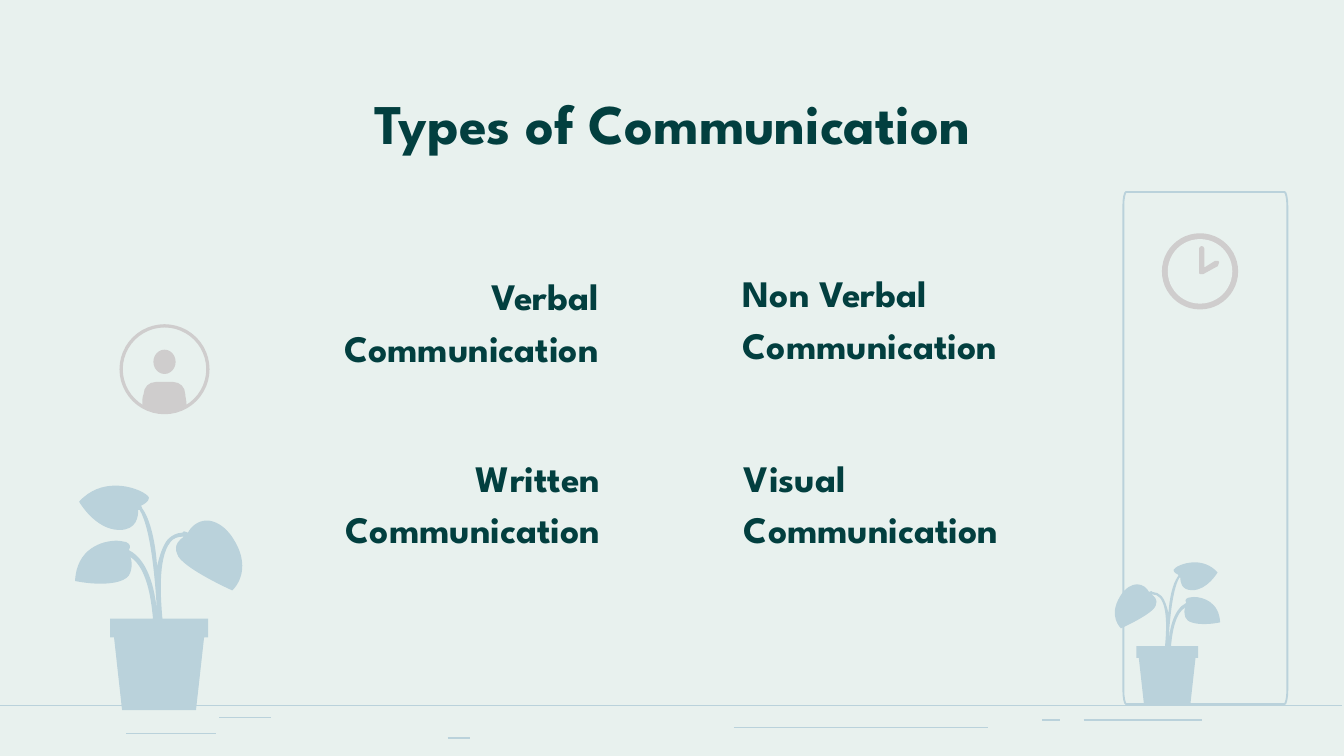
import dataclasses
import typing

import lxml.etree
import pptx
import pptx.dml.color
import pptx.enum.shapes
import pptx.enum.text
import pptx.oxml.ns
import pptx.util

Cm = pptx.util.Cm
Pt = pptx.util.Pt
qn = pptx.oxml.ns.qn
Align = pptx.enum.text.PP_ALIGN
Anchor = pptx.enum.text.MSO_ANCHOR

COLORS = {"back": "E8F1EE", "text": "023F3F", "blue": "BAD2DB", "gray": "CFCDCD"}
FONT = "League Spartan"
UNIT = 0.0254

PLANT = """M 30 0 C 21 0 11 3 3 12 C 3 12 15 33 33 33 C 46 33 47 23 47 18
C 47 18 47 18 48 18 C 57 33 60 75 61 95 C 60 82 56 56 40 48 C 41 46 42 44 38 42
C 37 42 34 41 31 41 C 20 41 1 47 0 71 C 0 71 9 73 19 73 C 29 73 39 71 41 65
C 43 59 42 55 41 53 C 55 62 57 90 58 99 L 26 99 L 26 113 L 29 113 L 35 167
L 90 167 L 96 113 L 99 113 L 99 99 L 65 99 C 64 87 61 54 71 42
C 73 39 77 38 80 38 L 81 38 C 78 40 73 44 76 51 C 79 61 117 78 117 78
C 117 78 133 64 118 40 C 112 30 104 26 98 26 C 91 26 86 31 84 35
C 83 35 82 34 81 34 C 81 34 80 35 80 35 C 76 35 72 37 69 40 C 65 45 63 52 61 60
C 60 43 56 25 50 17 C 50 16 49 15 49 15 C 51 14 55 12 55 9 C 54 6 43 0 30 0"""
HANDS = """M 2 0 C 1 0 0 1 0 2 L 0 19 C 0 20 0 21 1 21 C 1 21 2 21 2 21
C 2 21 3 21 3 21 L 14 15 C 15 14 15 13 15 12 C 15 11 14 11 13 11
C 13 11 13 11 12 11 L 4 16 L 4 2 C 4 1 3 0 2 0"""
BUST = """M 33 18 C 33 14 32 11 32 9 C 32 4 28 0 23 0 L 10 0 C 5 0 1 4 1 9
C 0 11 0 14 0 18 C 9 25 24 25 33 18"""
DOOR = """M 2 0 L 120 0 C 121 0 122 5 122 10 L 122 371 C 122 376 121 381 120 381
L 2 381 C 1 381 0 376 0 371 L 0 10 C 0 5 1 0 2 0"""


@dataclasses.dataclass
class Label:
    text: str
    left: float
    top: float
    width: float
    height: float
    align: Align
    anchor: Anchor = Anchor.BOTTOM
    size: int = 20


@dataclasses.dataclass
class Outline:
    curve: str
    left: float
    top: float
    fill: typing.Optional[str] = None
    line: typing.Optional[str] = None
    scale: float = 1
    flip: int = 1


@dataclasses.dataclass
class Disc:
    left: float
    top: float
    width: float
    height: float
    fill: typing.Optional[str] = None
    line: typing.Optional[str] = None


@dataclasses.dataclass
class Stroke:
    start: float
    end: float
    top: float


LABELS = [
    Label("Types of Communication", 2, 1.24, 21.41, 1.6, Align.CENTER, Anchor.TOP, 30),
    Label("Verbal Communication", 5.35, 5.18, 6.22, 2.06, Align.RIGHT),
    Label("Non Verbal Communication", 13.79, 5.07, 6.22, 2.11, Align.LEFT),
    Label("Written Communication", 5.38, 8.66, 6.22, 2.01, Align.RIGHT),
    Label("Visual Communication", 13.81, 8.66, 6.22, 2.01, Align.LEFT),
]
STROKES = [
    Stroke(0, 25.37, 13.34),
    Stroke(2.39, 4.09, 13.87),
    Stroke(8.46, 8.89, 13.95),
    Stroke(4.14, 5.13, 13.56),
    Stroke(20.48, 22.71, 13.61),
    Stroke(19.7, 20.04, 13.61),
    Stroke(13.87, 18.67, 13.75),
]
FIGURES = [
    Disc(21.96, 4.41, 1.44, 1.44, fill="gray"),
    Disc(22.07, 4.52, 1.22, 1.22, fill="back"),
    Outline(HANDS, 22.66, 4.65, fill="gray"),
    Outline(PLANT, 1.42, 9.18, fill="blue"),
    Outline(DOOR, 21.23, 3.63, line="blue"),
    Disc(2.29, 6.16, 1.64, 1.64, line="gray"),
    Outline(BUST, 2.69, 7.22, fill="gray"),
    Disc(2.9, 6.61, 0.42, 0.46, fill="gray"),
    Outline(PLANT, 23.06, 10.63, fill="blue", scale=0.63, flip=-1),
]


def color(name: str) -> pptx.dml.color.RGBColor:
    return pptx.dml.color.RGBColor.from_string(COLORS[name])


def paint(shape, fill: typing.Optional[str], line: typing.Optional[str], width: float) -> None:
    shape.shadow.inherit = False
    if fill:
        shape.fill.solid()
        shape.fill.fore_color.rgb = color(fill)
    else:
        shape.fill.background()
    if line:
        shape.line.color.rgb = color(line)
        shape.line.width = Pt(width)
    else:
        shape.line.fill.background()


def bend(shape, marks: list[str]) -> None:
    legs = iter(list(shape._element.iter(qn("a:lnTo"))))
    for mark in marks:
        leg = next(legs)
        if mark == "C":
            leg.tag = qn("a:cubicBezTo")
            for _ in range(2):
                extra = next(legs)
                leg.append(extra[0])
                extra.getparent().remove(extra)


def draw_outline(slide, item: Outline) -> None:
    size = UNIT * item.scale
    words = item.curve.split()
    marks = [word for word in words if word in "CL"]
    nums = [float(word) for word in words if word not in "MCL"]
    dots = [
        (Cm(item.left + item.flip * size * x), Cm(item.top + size * y))
        for x, y in zip(nums[::2], nums[1::2])
    ]
    pen = slide.shapes.build_freeform(*dots[0])
    pen.add_line_segments(dots[1:], close=True)
    shape = pen.convert_to_shape()
    bend(shape, marks)
    paint(shape, item.fill, item.line, 1)


def draw_disc(slide, item: Disc) -> None:
    box = [Cm(n) for n in (item.left, item.top, item.width, item.height)]
    shape = slide.shapes.add_shape(pptx.enum.shapes.MSO_SHAPE.OVAL, *box)
    paint(shape, item.fill, item.line, 1.75)


def draw_stroke(slide, item: Stroke) -> None:
    kind = pptx.enum.shapes.MSO_CONNECTOR.STRAIGHT
    ends = [Cm(n) for n in (item.start, item.top, item.end, item.top)]
    line = slide.shapes.add_connector(kind, *ends)
    line.line.color.rgb = color("blue")
    line.line.width = Pt(0.75)
    lxml.etree.SubElement(line._element.spPr, qn("a:effectLst"))


def fill_label(holder, item: Label) -> None:
    holder.left, holder.top = Cm(item.left), Cm(item.top)
    holder.width, holder.height = Cm(item.width), Cm(item.height)
    frame = holder.text_frame
    frame.text = item.text
    frame.word_wrap = True
    frame.auto_size = pptx.enum.text.MSO_AUTO_SIZE.NONE
    frame.vertical_anchor = item.anchor
    frame.margin_left = frame.margin_right = Cm(0.25)
    frame.margin_top = frame.margin_bottom = Cm(0.25)
    para = frame.paragraphs[0]
    props = para._p.get_or_add_pPr()
    props.set("marL", "0")
    props.set("indent", "0")
    lxml.etree.SubElement(props, qn("a:buNone"))
    para.alignment = item.align
    para.line_spacing = 1.15
    para.space_before = Pt(0)
    font = para.runs[0].font
    font.name, font.size, font.bold = FONT, Pt(item.size), True
    font.color.rgb = color("text")


def main() -> None:
    deck = pptx.Presentation()
    deck.slide_width, deck.slide_height = Cm(25.4), Cm(14.29)
    slide = deck.slides.add_slide(deck.slide_layouts.get_by_name("Comparison"))
    slide.background.fill.solid()
    slide.background.fill.fore_color.rgb = color("back")
    for holder, item in zip(slide.placeholders, LABELS):
        fill_label(holder, item)
    for item in STROKES:
        draw_stroke(slide, item)
    tools = {Disc: draw_disc, Outline: draw_outline}
    for item in FIGURES:
        tools[type(item)](slide, item)
    deck.save("out.pptx")


if __name__ == "__main__":
    main()
